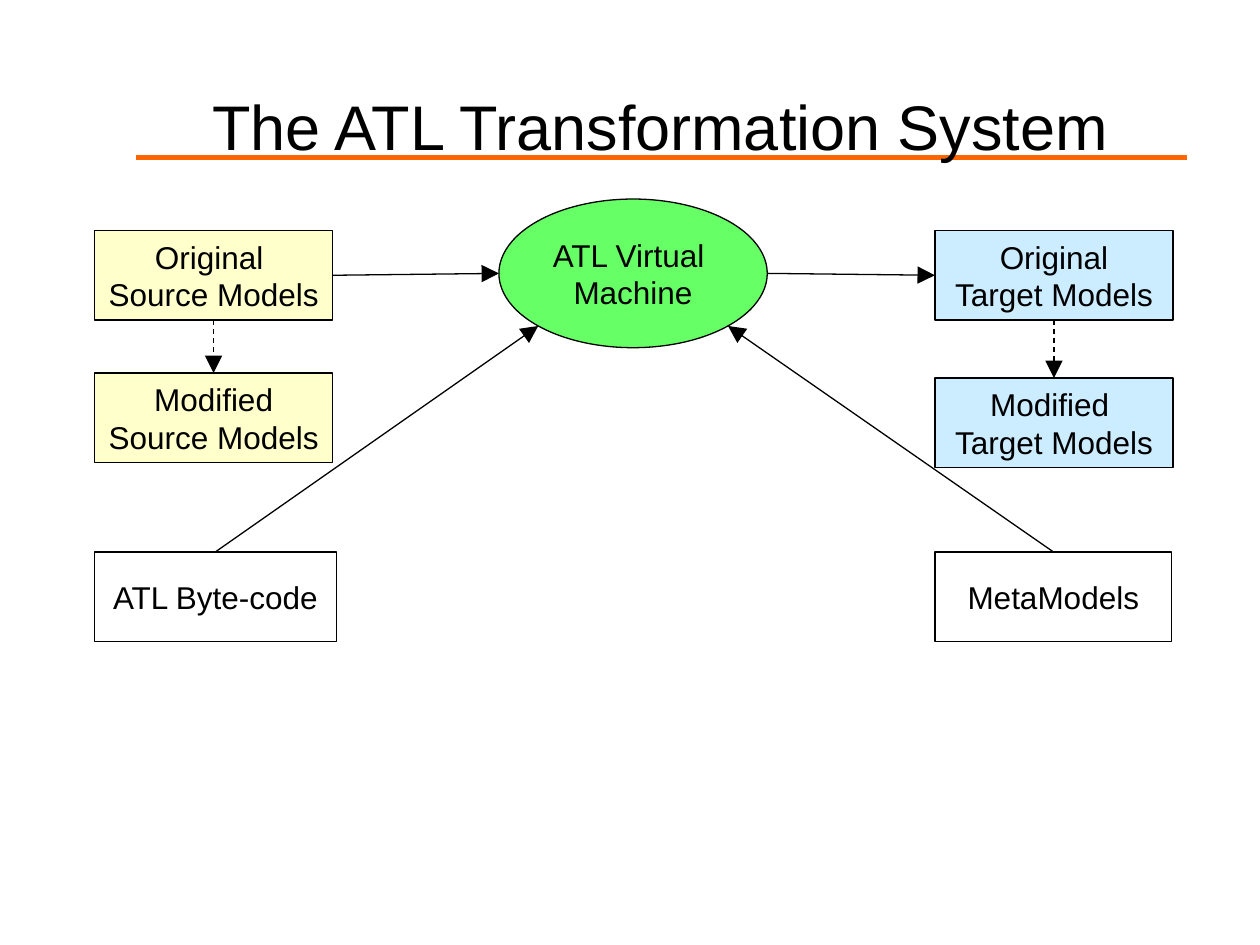
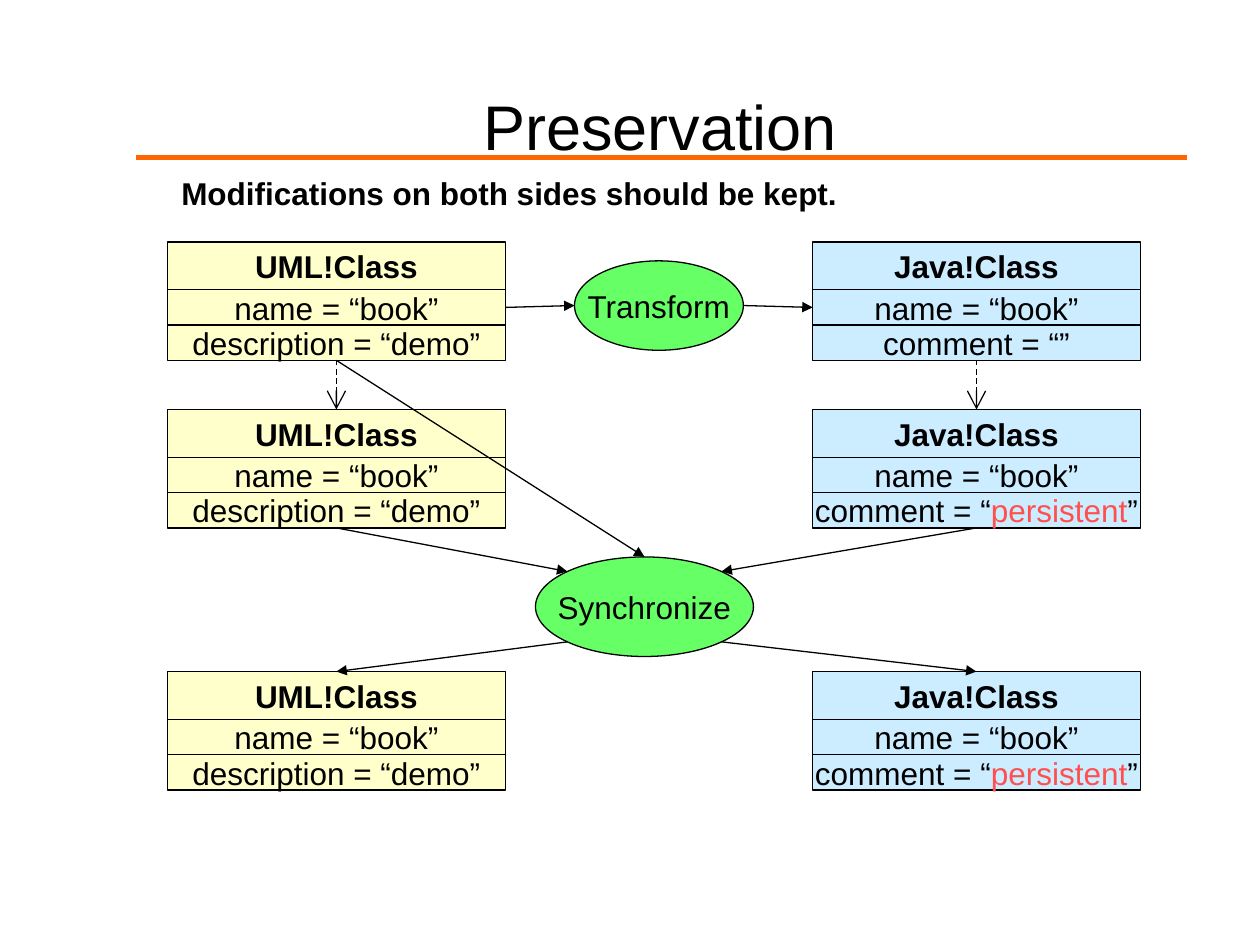
import math

import pptx
import pptx.dml.color
import pptx.enum.dml
import pptx.enum.shapes
import pptx.enum.text
import pptx.oxml.ns
import pptx.util
from lxml import etree

Inches = pptx.util.Inches
Pt = pptx.util.Pt
SHAPES = pptx.enum.shapes.MSO_SHAPE
ALIGN = pptx.enum.text.PP_ALIGN
ANCHOR = pptx.enum.text.MSO_ANCHOR

FONT = "Arial"
COLORS = {
    "text": "000000",
    "line": "000000",
    "rule": "FF6600",
    "source": "FFFFCC",
    "target": "CCECFF",
    "engine": "66FF66",
    "plain": "FFFFFF",
    "changed": "FF5050",
}

SYSTEM_TITLE = "The ATL Transformation System"
SYSTEM_NODES = {
    "machine": ("ATL Virtual \nMachine", "engine", (3.96, 1.58, 2.13, 1.18)),
    "source": ("Original \nSource Models", "source", (0.75, 1.83, 1.89, 0.71)),
    "new source": ("Modified\nSource Models", "source", (0.75, 2.96, 1.89, 0.71)),
    "target": ("Original\nTarget Models", "target", (7.42, 1.83, 1.89, 0.71)),
    "new target": ("Modified \nTarget Models", "target", (7.42, 3, 1.89, 0.71)),
    "bytecode": ("ATL Byte-code", "plain", (0.75, 4.38, 1.92, 0.71)),
    "metamodels": ("MetaModels", "plain", (7.42, 4.38, 1.88, 0.71)),
}
SYSTEM_ARROWS = [
    ("source", "right", "machine", "left", "solid"),
    ("machine", "right", "target", "left", "solid"),
    ("metamodels", "top", "machine", "bottom right", "solid"),
    ("bytecode", "top", "machine", "bottom left", "solid"),
    ("source", "bottom", "new source", "top", "dashed"),
    ("target", "bottom", "new target", "top", "dashed"),
]

PRESERVATION_TITLE = "Preservation"
PRESERVATION_NOTE = "Modifications on both sides should be kept."
UML_ROWS = [["UML!Class"], ["name = “book”"], ["description = “demo”"]]
JAVA_ROWS = [["Java!Class"], ["name = “book”"], ["comment = “”"]]
CHANGED_ROWS = JAVA_ROWS[:2] + [["comment = “", "persistent", "”"]]
ROW_HEIGHTS = [0.38, 0.28, 0.28]
CARD_COLUMNS = {"source": (1.33, 2.68), "target": (6.45, 2.6)}
CARD_STAGES = [
    ("first", 1.92, UML_ROWS, JAVA_ROWS),
    ("edited", 3.25, UML_ROWS, CHANGED_ROWS),
    ("synced", 5.33, UML_ROWS, CHANGED_ROWS),
]
PRESERVATION_NODES = {
    "transform": ("Transform", "engine", (4.56, 2.07, 1.34, 0.71)),
    "synchronize": ("Synchronize", "engine", (4.25, 4.42, 1.73, 0.79)),
}
PRESERVATION_ARROWS = [
    ("first source name", "right", "transform", "left", "solid"),
    ("transform", "right", "first target name", "left", "solid"),
    ("edited source", "bottom", "synchronize", "top left", "solid"),
    ("edited target", "bottom", "synchronize", "top right", "solid"),
    ("first source", "bottom", "synchronize", "top", "solid"),
    ("first source", "bottom", "edited source", "top", "dashed"),
    ("first target", "bottom", "edited target", "top", "dashed"),
    ("synchronize", "bottom left", "synced source", "top", "solid"),
    ("synchronize", "bottom right", "synced target", "top", "solid"),
]

NEAR = 0.5 - math.sqrt(0.125)
FAR = 1 - NEAR
SITES = {
    "top": (0.5, 0), "bottom": (0.5, 1), "left": (0, 0.5), "right": (1, 0.5),
    "top left": (NEAR, NEAR), "top right": (FAR, NEAR),
    "bottom left": (NEAR, FAR), "bottom right": (FAR, FAR),
}


def rgb(name):
    return pptx.dml.color.RGBColor.from_string(COLORS[name])


def format_text(frame, size=18, bold=False, align=ALIGN.CENTER):
    for para in frame.paragraphs:
        para.alignment = align
        for index, span in enumerate(para.runs):
            span.font.name = FONT
            span.font.size = Pt(size)
            span.font.bold = bold
            span.font.color.rgb = rgb("changed" if index == 1 else "text")


def add_label(page, text, bounds, wrap, **style):
    frame = page.shapes.add_textbox(*map(Inches, bounds)).text_frame
    frame.word_wrap = wrap
    frame.text = text
    format_text(frame, **style)
    return frame


def add_node(shapes, pieces, color, bounds, bold=False):
    outline = SHAPES.OVAL if color == "engine" else SHAPES.RECTANGLE
    box = shapes.add_shape(outline, *map(Inches, bounds))
    box.shadow.inherit = False
    box.fill.solid()
    box.fill.fore_color.rgb = rgb(color)
    box.line.color.rgb = rgb("line")
    box.line.width = Pt(0.75)
    frame = box.text_frame
    frame.word_wrap = False
    frame.vertical_anchor = ANCHOR.MIDDLE
    frame.text = pieces[0]
    for piece in pieces[1:]:
        frame.paragraphs[0].add_run().text = piece
    format_text(frame, bold=bold)


def add_nodes(page, nodes):
    for text, color, bounds in nodes.values():
        add_node(page.shapes, [text], color, bounds)
    return {name: bounds for name, (text, color, bounds) in nodes.items()}


def add_card(page, rows, color, top):
    left, width = CARD_COLUMNS[color]
    card = page.shapes.add_group_shape()
    row_bounds = []
    for index, (pieces, height) in enumerate(zip(rows, ROW_HEIGHTS)):
        bounds = (left, top + sum(ROW_HEIGHTS[:index]), width, height)
        add_node(card.shapes, pieces, color, bounds, bold=index == 0)
        row_bounds.append(bounds)
    return (left, top, width, sum(ROW_HEIGHTS)), row_bounds[1]


def add_line(page, start, end, color, width):
    line = page.shapes.add_connector(
        pptx.enum.shapes.MSO_CONNECTOR.STRAIGHT, *map(Inches, start + end))
    line.line.color.rgb = rgb(color)
    line.line.width = Pt(width)
    etree.SubElement(line._element.spPr, pptx.oxml.ns.qn("a:effectLst"))
    return line


def site_point(bounds, site):
    left, top, width, height = bounds
    across, down = SITES[site]
    return left + across * width, top + down * height


def add_arrows(page, places, arrows, heads):
    for origin, origin_site, goal, goal_site, style in arrows:
        line = add_line(page, site_point(places[origin], origin_site),
                        site_point(places[goal], goal_site), "line", 0.75)
        if style == "dashed":
            line.line.dash_style = pptx.enum.dml.MSO_LINE.DASH
        kind, size = heads[style]
        etree.SubElement(line.line._get_or_add_ln(), pptx.oxml.ns.qn("a:tailEnd"),
                         type=kind, w=size, len=size)


def add_page(deck, title):
    page = deck.slides.add_slide(deck.slide_layouts[6])
    add_line(page, (1.08, 1.25), (9.42, 1.25), "rule", 2.75)
    frame = add_label(page, title, (0.91, 0.6, 8.66, 0.79), True, size=36)
    frame.vertical_anchor = ANCHOR.MIDDLE
    return page


def build_system(deck):
    page = add_page(deck, SYSTEM_TITLE)
    places = add_nodes(page, SYSTEM_NODES)
    add_arrows(page, places, SYSTEM_ARROWS,
               {"solid": ("triangle", "lg"), "dashed": ("triangle", "lg")})


def build_preservation(deck):
    page = add_page(deck, PRESERVATION_TITLE)
    add_label(page, PRESERVATION_NOTE, (1.34, 1.33, 5.41, 0.4), False,
              bold=True, align=ALIGN.LEFT)
    places = add_nodes(page, PRESERVATION_NODES)
    for stage, top, source_rows, target_rows in CARD_STAGES:
        for side, rows in (("source", source_rows), ("target", target_rows)):
            card = f"{stage} {side}"
            places[card], places[f"{card} name"] = add_card(page, rows, side, top)
    add_arrows(page, places, PRESERVATION_ARROWS,
               {"solid": ("triangle", "med"), "dashed": ("arrow", "lg")})


def main():
    deck = pptx.Presentation()
    deck.slide_width = Inches(10)
    deck.slide_height = Inches(7.5)
    build_system(deck)
    build_preservation(deck)
    deck.save("out.pptx")


if __name__ == "__main__":
    main()
